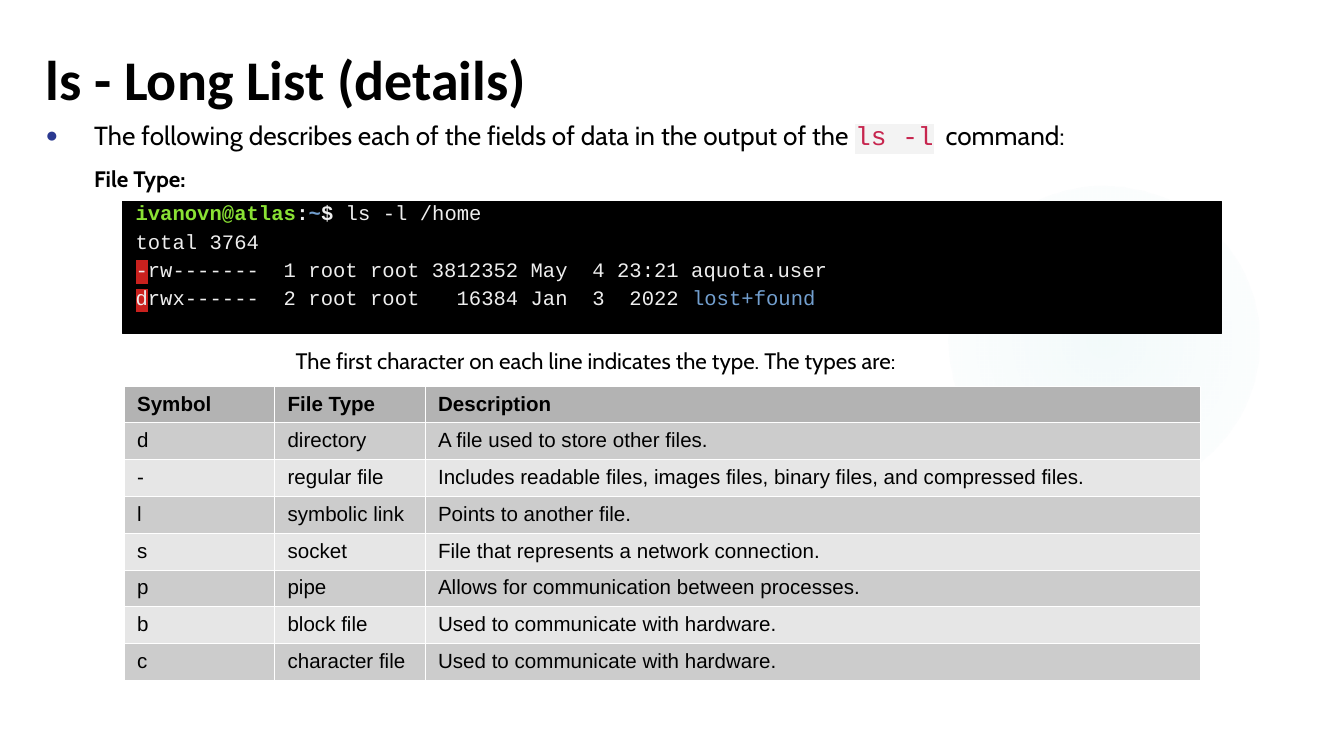
import lxml.etree
import pptx
import pptx.dml.color
import pptx.enum.shapes
import pptx.enum.text
import pptx.oxml
import pptx.oxml.ns
import pptx.util

RGB = pptx.dml.color.RGBColor
Inches = pptx.util.Inches
Pt = pptx.util.Pt
qn = pptx.oxml.ns.qn

BLACK = RGB(0x00, 0x00, 0x00)
WHITE = RGB(0xFF, 0xFF, 0xFF)
BULLET = RGB(0x2A, 0x39, 0x90)
CRIMSON = RGB(0xC7, 0x25, 0x4E)
PALE = RGB(0xF3, 0xF3, 0xF3)
GREEN = RGB(0x8A, 0xE2, 0x34)
BLUE = RGB(0x72, 0x9F, 0xCF)
SILVER = RGB(0xEE, 0xEE, 0xEE)
RED = RGB(0xC9, 0x21, 0x1E)
TEAL = RGB(0x50, 0xB9, 0xC1)
HEADER = RGB(0xB3, 0xB3, 0xB3)
BANDS = (RGB(0xCC, 0xCC, 0xCC), RGB(0xE6, 0xE6, 0xE6))

TITLE = "ls - Long List (details)"

STYLES = {
    "title": dict(size=30, name="Calibri", color=BLACK, bold=True),
    "intro": dict(size=14, name="Cabin", color=BLACK),
    "code": dict(size=14, name="Courier New", color=CRIMSON, highlight=PALE),
    "label": dict(size=12, name="Cabin", color=BLACK, bold=True),
    "caption": dict(size=12, name="Cabin", color=BLACK),
    "user": dict(size=11, name="Courier New", color=GREEN, bold=True),
    "prompt": dict(size=11, name="Courier New", color=SILVER, bold=True),
    "home": dict(size=11, name="Courier New", color=BLUE, bold=True),
    "output": dict(size=11, name="Courier New", color=SILVER),
    "type": dict(size=11, name="Courier New", color=SILVER, highlight=RED),
    "folder": dict(size=11, name="Courier New", color=BLUE),
    "header": dict(size=11, name="Arial", color=BLACK, bold=True),
    "cell": dict(size=11, name="Arial", color=BLACK),
}

BODY = [
    dict(runs=[("The following describes each of the fields of data in the output of the ", "intro"),
               ("ls -l", "code"), ("  command:", "intro")],
         margin=0.5, indent=-0.36, before=7.5, spacing=1.0),
    dict(runs=[("File Type:", "label")],
         margin=0.5, indent=0, before=7.5, spacing=1.0),
    dict(runs=[("The first character on each line indicates the type. The types are:", "caption")],
         margin=2, indent=0, before=81, spacing=1.15),
]

TERMINAL = [
    [("ivanovn@atlas", "user"), (":", "prompt"), ("~", "home"), ("$", "prompt"),
     (" ls -l /home", "output")],
    [("total 3764", "output")],
    [("-", "type"), ("rw-------  1 root root 3812352 May  4 23:21 aquota.user", "output")],
    [("d", "type"), ("rwx------  2 root root   16384 Jan  3  2022 ", "output"),
     ("lost+found", "folder")],
]

FILE_TYPES = [
    ("Symbol", "File Type", "Description"),
    ("d", "directory", "A file used to store other files."),
    ("-", "regular file", "Includes readable files, images files, binary files, and compressed files."),
    ("l", "symbolic link", "Points to another file."),
    ("s", "socket", "File that represents a network connection."),
    ("p", "pipe", "Allows for communication between processes."),
    ("b", "block file", "Used to communicate with hardware."),
    ("c", "character file", "Used to communicate with hardware."),
]
COLUMNS = (1.12, 1.12, 5.77)


def box(*lengths):
    return [Inches(n) for n in lengths]


def add_color(parent, tag, color):
    element = lxml.etree.SubElement(parent, qn(tag))
    return lxml.etree.SubElement(element, qn("a:srgbClr"), val=str(color))


def add_runs(p, runs):
    for text, style in runs:
        look = STYLES[style]
        r = p.add_run()
        r.text = text
        r.font.size = Pt(look["size"])
        r.font.name = look["name"]
        r.font.bold = look.get("bold", False)
        r.font.color.rgb = look["color"]
        if "highlight" in look:
            rPr = r._r.get_or_add_rPr()
            add_color(rPr, "a:highlight", look["highlight"])
            rPr.find(qn("a:solidFill")).addnext(rPr[-1])


def paragraphs(tf, count):
    return [tf.paragraphs[0]] + [tf.add_paragraph() for _ in range(count - 1)]


def set_frame(tf, left, top, right, bottom, anchor):
    tf.word_wrap = True
    tf.margin_left, tf.margin_top, tf.margin_right, tf.margin_bottom = box(left, top, right, bottom)
    tf.vertical_anchor = anchor


def add_bullet(p):
    pPr = p._p.get_or_add_pPr()
    add_color(pPr, "a:buClr", BULLET)
    lxml.etree.SubElement(pPr, qn("a:buSzPct"), val="80000")
    lxml.etree.SubElement(pPr, qn("a:buFont"), typeface="Arial")
    lxml.etree.SubElement(pPr, qn("a:buChar"), char="●")


def add_glow(s):
    sp = s.shapes.add_shape(pptx.enum.shapes.MSO_SHAPE.OVAL, *box(7.06, 1.38, 2.31, 2.31))
    sp.shadow.inherit = False
    sp.line.fill.background()
    sp.fill.gradient()
    grad = sp._element.spPr.find(qn("a:gradFill"))
    for child in list(grad):
        grad.remove(child)
    stops = lxml.etree.SubElement(grad, qn("a:gsLst"))
    for position, alpha in ((0, 7000), (100000, 0)):
        stop = lxml.etree.SubElement(stops, qn("a:gs"), pos=str(position))
        color = lxml.etree.SubElement(stop, qn("a:srgbClr"), val=str(TEAL))
        lxml.etree.SubElement(color, qn("a:alpha"), val=str(alpha))
    circle = lxml.etree.SubElement(grad, qn("a:path"), path="circle")
    lxml.etree.SubElement(circle, qn("a:fillToRect"), l="50000", t="50000", r="50000", b="50000")


def add_title(s):
    sp = s.shapes.title
    sp.left, sp.top, sp.width, sp.height = box(0.34, 0.23, 9.32, 0.66)
    set_frame(sp.text_frame, 0, 0.1, 0, 0.1, pptx.enum.text.MSO_ANCHOR.TOP)
    p = sp.text_frame.paragraphs[0]
    p.alignment = pptx.enum.text.PP_ALIGN.LEFT
    add_runs(p, [(TITLE, "title")])


def add_body(s):
    tf = s.shapes.add_textbox(*box(0.2, 0.79, 9.32, 4.47)).text_frame
    set_frame(tf, 0, 0.1, 0, 0.1, pptx.enum.text.MSO_ANCHOR.TOP)
    lines = paragraphs(tf, len(BODY))
    for p, item in zip(lines, BODY):
        p.line_spacing = item["spacing"]
        p.space_before = Pt(item["before"])
        pPr = p._p.get_or_add_pPr()
        pPr.set("marL", str(Inches(item["margin"])))
        pPr.set("indent", str(Inches(item["indent"])))
        add_runs(p, item["runs"])
    add_bullet(lines[0])


def add_terminal(s):
    sp = s.shapes.add_shape(pptx.enum.shapes.MSO_SHAPE.RECTANGLE, *box(0.91, 1.5, 8.18, 0.98))
    sp.shadow.inherit = False
    sp.fill.solid()
    sp.fill.fore_color.rgb = BLACK
    sp.line.color.rgb = BLACK
    sp.line.width = Pt(0.75)
    set_frame(sp.text_frame, 0.1, 0, 0.1, 0.21, pptx.enum.text.MSO_ANCHOR.MIDDLE)
    for p, runs in zip(paragraphs(sp.text_frame, len(TERMINAL)), TERMINAL):
        p.alignment = pptx.enum.text.PP_ALIGN.LEFT
        p.line_spacing = 1.15
        add_runs(p, runs)


def add_file_types(s):
    frame = s.shapes.add_table(len(FILE_TYPES), len(COLUMNS), *box(0.92, 2.87, sum(COLUMNS), 2.18))
    table = frame.table
    for column, width in zip(table.columns, COLUMNS):
        column.width = Inches(width)
    for i, row in enumerate(FILE_TYPES):
        for j, text in enumerate(row):
            cell = table.cell(i, j)
            cell.margin_top, cell.margin_bottom = box(0.05, 0.04)
            add_runs(cell.text_frame.paragraphs[0], [(text, "cell" if i else "header")])
            tcPr = cell._tc.get_or_add_tcPr()
            for side in ("a:lnL", "a:lnR", "a:lnT", "a:lnB"):
                line = lxml.etree.SubElement(tcPr, qn(side), w=str(Pt(0.06)))
                add_color(line, "a:solidFill", WHITE)
            cell.fill.solid()
            cell.fill.fore_color.rgb = BANDS[(i - 1) % 2] if i else HEADER


prs = pptx.Presentation()
prs.slide_width = Inches(10)
prs.slide_height = prs.slide_width * 9 // 16
s = prs.slides.add_slide(prs.slide_layouts[5])
add_glow(s)
add_title(s)
add_body(s)
add_terminal(s)
add_file_types(s)
prs.save("out.pptx")
